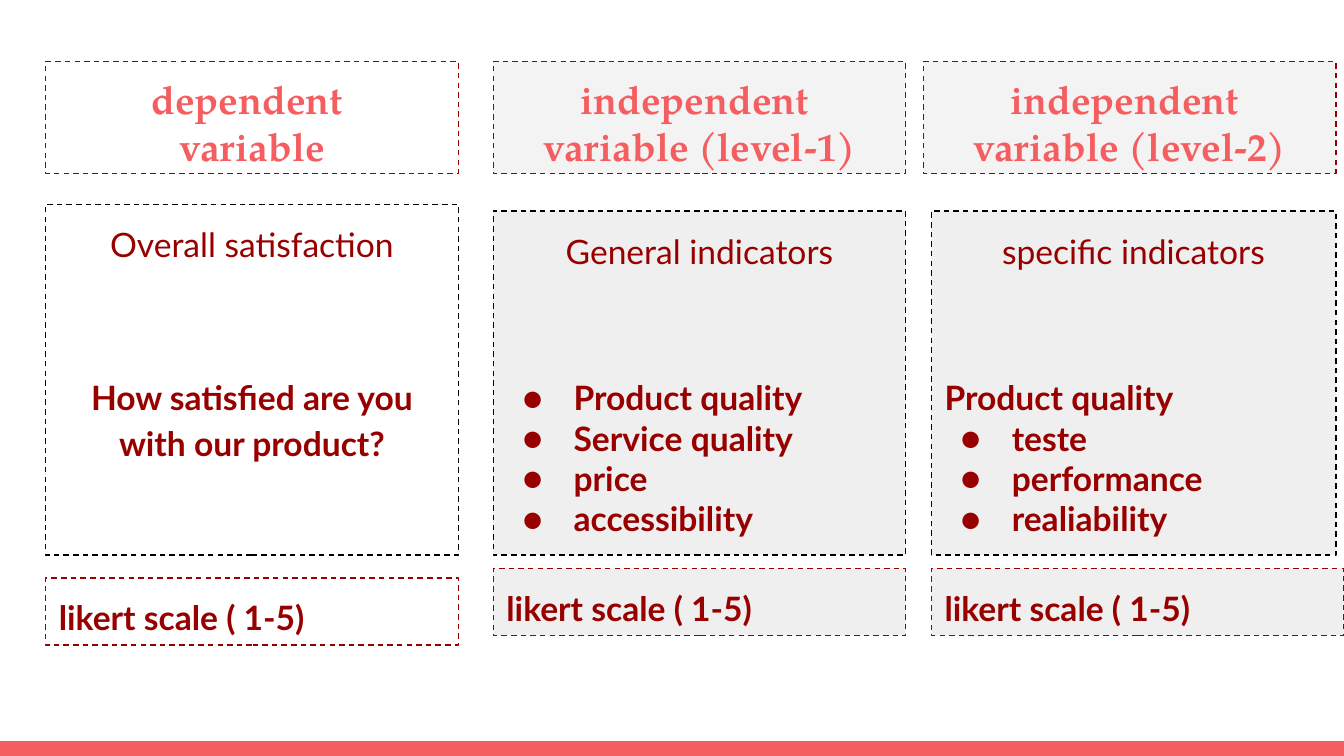
from dataclasses import dataclass

from lxml import etree
from pptx import Presentation
from pptx.dml.color import RGBColor
from pptx.enum.dml import MSO_LINE
from pptx.enum.shapes import MSO_SHAPE
from pptx.enum.text import MSO_ANCHOR, MSO_AUTO_SIZE, PP_ALIGN
from pptx.oxml.ns import qn
from pptx.util import Inches, Pt

CORAL = RGBColor(0xF5, 0x5E, 0x61)
DARK_RED = RGBColor(0x98, 0x00, 0x00)
BLACK = RGBColor(0x00, 0x00, 0x00)
PALE_GREY = RGBColor(0xF3, 0xF3, 0xF3)
GREY = RGBColor(0xEF, 0xEF, 0xEF)

CENTER, LEFT = PP_ALIGN.CENTER, PP_ALIGN.LEFT
TOP, NO_AUTOFIT = MSO_ANCHOR.TOP, MSO_AUTO_SIZE.NONE
DASH, RECTANGLE = MSO_LINE.DASH, MSO_SHAPE.RECTANGLE

HEADING_FONT, BODY_FONT = "TeX Gyre Pagella", "Lato"
SLIDE_WIDTH = 10
SLIDE_HEIGHT = SLIDE_WIDTH * 9 / 16
BAR_HEIGHT = 0.11
BOX_WIDTH = 3.07
HEADING_TOP, HEADING_HEIGHT = 0.46, 0.83
BODY_BOTTOM = 4.13
SCALE_HEIGHT = 0.5
INSET = 0.1
DETAIL_GAP = 57
SCALE_TEXT = "likert scale ( 1-5)"


@dataclass(frozen=True)
class Column:
    heading: tuple[str, str]
    topic: str
    left: float
    body_left: float
    body_width: float
    body_top: float
    scale_top: float
    statement: str = ""
    statement_alignment: PP_ALIGN = LEFT
    statement_spacing: float = 1.0
    bullets: tuple[str, ...] = ()
    shaded: bool = True


COLUMNS = (
    Column(("dependent ", "variable"), "Overall satisfaction",
           0.34, 0.34, BOX_WIDTH, 1.52, 4.3,
           statement="How satisfied are you with our product?",
           statement_alignment=CENTER, statement_spacing=1.15, shaded=False),
    Column(("independent ", "variable (level-1)"), "General indicators",
           3.67, 3.67, BOX_WIDTH, 1.57, 4.23,
           bullets=("Product quality", "Service quality", "price", "accessibility")),
    Column(("independent ", "variable (level-2)"), "specific indicators",
           6.87, 6.93, 3.01, 1.57, 4.23, statement="Product quality",
           bullets=("teste", "performance", "realiability")),
)


def format_box(shape, left: float, top: float, width: float, height: float,
               line: RGBColor, fill: RGBColor | None) -> None:
    shape.left, shape.top = Inches(left), Inches(top)
    shape.width, shape.height = Inches(width), Inches(height)
    if fill is not None:
        shape.fill.solid()
        shape.fill.fore_color.rgb = fill
    shape.line.color.rgb = line
    shape.line.width = Pt(0.75)
    shape.line.dash_style = DASH
    frame = shape.text_frame
    frame.word_wrap = True
    frame.auto_size = NO_AUTOFIT
    frame.vertical_anchor = TOP
    frame.margin_left = frame.margin_right = Inches(INSET)
    frame.margin_top = frame.margin_bottom = Inches(INSET)


def add_box(slide, left: float, top: float, width: float, height: float,
            line: RGBColor, fill: RGBColor | None):
    shape = slide.shapes.add_textbox(0, 0, 0, 0)
    format_box(shape, left, top, width, height, line, fill)
    return shape


def write(frame, text: str, *, font: str = BODY_FONT, size: float = 18,
          color: RGBColor = DARK_RED, bold: bool = True,
          alignment: PP_ALIGN = LEFT, spacing: float = 1.0,
          before: float = 0, bullet: bool = False) -> None:
    """Fill the empty first paragraph of the frame, or append a new one."""
    first = frame.paragraphs[0]
    paragraph = frame.add_paragraph() if first.runs else first
    paragraph.alignment = alignment
    paragraph.line_spacing = spacing
    paragraph.space_before = Pt(before)
    if bullet:
        properties = paragraph._p.get_or_add_pPr()
        properties.set("marL", str(Inches(0.5)))
        properties.set("indent", str(-Inches(0.38)))
        etree.SubElement(properties, qn("a:buFont")).set("typeface", font)
        etree.SubElement(properties, qn("a:buChar")).set("char", "●")
    run = paragraph.add_run()
    run.text = text
    run.font.name = font
    run.font.size = Pt(size)
    run.font.bold = bold
    run.font.color.rgb = color


def draw_heading(slide, column: Column, shape) -> None:
    format_box(shape, column.left, HEADING_TOP, BOX_WIDTH, HEADING_HEIGHT,
               DARK_RED, PALE_GREY if column.shaded else None)
    for text in column.heading:
        write(shape.text_frame, text, font=HEADING_FONT, size=21,
              color=CORAL, alignment=CENTER)


def draw_body(slide, column: Column) -> None:
    frame = add_box(slide, column.body_left, column.body_top, column.body_width,
                    BODY_BOTTOM - column.body_top, BLACK,
                    GREY if column.shaded else None).text_frame
    write(frame, column.topic, bold=False, alignment=CENTER, spacing=1.15)
    if column.statement:
        write(frame, column.statement, alignment=column.statement_alignment,
              spacing=column.statement_spacing, before=DETAIL_GAP)
    for index, text in enumerate(column.bullets):
        starts_details = index == 0 and not column.statement
        write(frame, text, before=DETAIL_GAP if starts_details else 0, bullet=True)


def draw_scale(slide, column: Column) -> None:
    shape = add_box(slide, column.body_left, column.scale_top, BOX_WIDTH,
                    SCALE_HEIGHT, DARK_RED, GREY if column.shaded else None)
    write(shape.text_frame, SCALE_TEXT, spacing=1.15)


def draw_bottom_bar(slide) -> None:
    bar = slide.shapes.add_shape(
        RECTANGLE, 0, Inches(SLIDE_HEIGHT - BAR_HEIGHT),
        Inches(SLIDE_WIDTH), Inches(BAR_HEIGHT))
    bar.shadow.inherit = False
    bar.fill.solid()
    bar.fill.fore_color.rgb = CORAL
    bar.line.fill.background()


def main() -> None:
    presentation = Presentation()
    presentation.slide_width = Inches(SLIDE_WIDTH)
    presentation.slide_height = Inches(SLIDE_HEIGHT)
    title_only = presentation.slide_layouts.get_by_name("Title Only")
    slide = presentation.slides.add_slide(title_only)
    draw_bottom_bar(slide)
    for index, column in enumerate(COLUMNS):
        heading = slide.shapes.title if index == 0 else slide.shapes.add_textbox(0, 0, 0, 0)
        draw_heading(slide, column, heading)
        draw_body(slide, column)
        draw_scale(slide, column)
    presentation.save("out.pptx")


if __name__ == "__main__":
    main()
